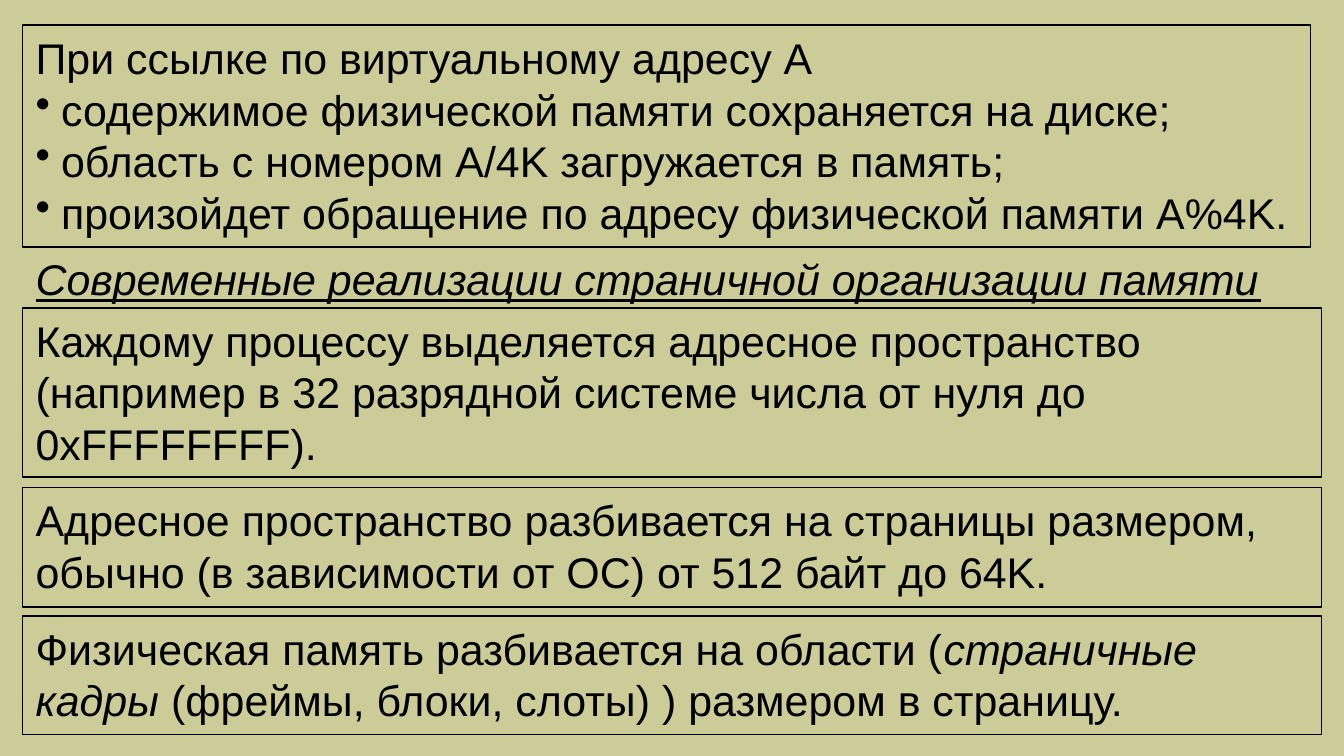
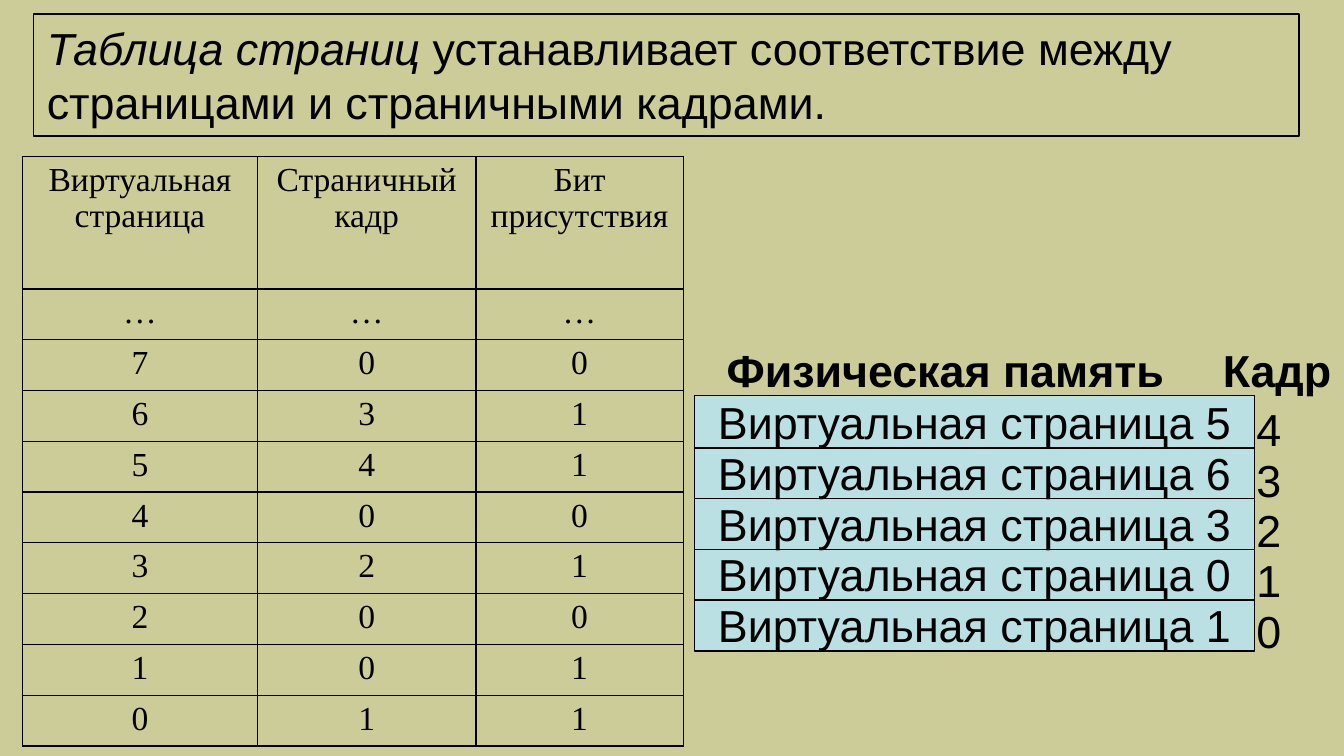
import pptx
import pptx.dml.color
import pptx.enum.shapes
import pptx.enum.text
import pptx.oxml
import pptx.oxml.ns
import pptx.util
from lxml import etree

COLOURS = {"ground": "CCCC99", "ink": "000000", "frame": "BBE0E3"}
ALIGN = pptx.enum.text.PP_ALIGN
ANCHOR = pptx.enum.text.MSO_ANCHOR


class Lecture:
    """Style and current slide, on a grid of 120 columns by 67.5 rows."""

    WIDTH, HEIGHT = pptx.util.Inches(10), pptx.util.Inches(5.625)
    COLUMNS, ROWS = 120, 67.5
    LINE = pptx.util.Pt(0.75)

    def __init__(self):
        self.deck = pptx.Presentation()
        self.deck.slide_width, self.deck.slide_height = self.WIDTH, self.HEIGHT
        ground = self.deck.slide_master.background.fill
        ground.solid()
        ground.fore_color.rgb = self.colour("ground")

    def colour(self, name):
        return pptx.dml.color.RGBColor.from_string(COLOURS[name])

    def across(self, columns):
        return round(self.WIDTH * columns / self.COLUMNS)

    def down(self, rows):
        return round(self.HEIGHT * rows / self.ROWS)

    def place(self, left, top, width, height):
        return self.across(left), self.down(top), self.across(width), self.down(height)

    def new_page(self):
        self.page = self.deck.slides.add_slide(self.deck.slide_layouts[6])

    def style(self, para, size, font="Arial", align=ALIGN.LEFT, bold=False,
              italic=None, underline=False):
        para.alignment = align
        para.font.size = pptx.util.Pt(size)
        para.font.name = font
        para.font.color.rgb = self.colour("ink")
        para.font.bold = bold
        para.font.italic = italic
        para.font.underline = underline

    def bullet(self, para):
        indent = pptx.util.Inches(0.19)
        properties = para._p.get_or_add_pPr()
        properties.set("marL", str(indent))
        properties.set("indent", str(-indent))
        mark = pptx.oxml.parse_xml(f'<a:buChar {pptx.oxml.ns.nsdecls("a")} char="•"/>')
        properties.insert(0, mark)

    def add_text(self, box, lines, size, anchor=ANCHOR.TOP, **looks):
        """Fill a box; a line is a string or a list of (text, italic) spans."""
        frame = box.text_frame
        frame.word_wrap = True
        frame.vertical_anchor = anchor
        for number, line in enumerate(lines):
            para = frame.paragraphs[0] if number == 0 else frame.add_paragraph()
            self.style(para, size, **looks)
            if isinstance(line, str):
                para.text = line
                continue
            for text, italic in line:
                span = para.add_run()
                span.text = text
                span.font.italic = italic

    def label(self, place, text, size=24, **looks):
        box = self.page.shapes.add_textbox(*self.place(*place))
        self.add_text(box, [text], size, **looks)

    def panel(self, place, lines, size=23, fill=None, **looks):
        kind = pptx.enum.shapes.MSO_SHAPE.RECTANGLE
        box = self.page.shapes.add_shape(kind, *self.place(*place))
        box.shadow.inherit = False
        box.line.color.rgb = self.colour("ink")
        box.line.width = self.LINE
        if fill:
            box.fill.solid()
            box.fill.fore_color.rgb = self.colour(fill)
        else:
            box.fill.background()
        self.add_text(box, lines, size, **looks)
        return box

    def border(self, cell):
        properties = cell._tc.get_or_add_tcPr()
        for number, side in enumerate(("lnL", "lnR", "lnT", "lnB")):
            edge = etree.Element(pptx.oxml.ns.qn(f"a:{side}"), w=str(self.LINE))
            fill = etree.SubElement(edge, pptx.oxml.ns.qn("a:solidFill"))
            etree.SubElement(fill, pptx.oxml.ns.qn("a:srgbClr"), val=COLOURS["ink"])
            properties.insert(number, edge)

    def table(self, left, top, widths, heights, rows):
        place = self.place(left, top, sum(widths), sum(heights))
        table = self.page.shapes.add_table(len(rows), len(widths), *place).table
        table.first_row = table.horz_banding = False
        for column, width in zip(table.columns, widths):
            column.width = self.across(width)
        for row, height, values in zip(table.rows, heights, rows):
            row.height = self.down(height)
            for cell, value in zip(row.cells, values):
                cell.text = value
                cell.fill.background()
                cell.margin_bottom = pptx.util.Inches(0.04)
                para = cell.text_frame.paragraphs[0]
                para.line_spacing = 0.95
                self.style(para, 18, "Times New Roman", ALIGN.CENTER)
                self.border(cell)


def build_paging(lecture):
    """Build the slide on paged memory."""
    lecture.new_page()
    steps = lecture.panel((2, 2.25, 115, 19.8), [
        "При ссылке по виртуальному адресу A",
        "содержимое физической памяти сохраняется на диске;",
        "область с номером A/4K загружается в память;",
        "произойдет обращение по адресу физической памяти A%4K."])
    for para in steps.text_frame.paragraphs[1:]:
        lecture.bullet(para)
    lecture.label((2, 22, 115, 5.9), "Современные реализации страничной организации памяти",
                  size=23, italic=True, underline=True)
    facts = [
        (27.5, 15.1, "Каждому процессу выделяется адресное пространство (например "
                     "в 32 разрядной системе числа от нуля до 0xFFFFFFFF)."),
        (43.5, 10.7, "Адресное пространство разбивается на страницы размером, "
                     "обычно (в зависимости от ОС) от 512 байт до 64K."),
        (55, 10.6, [("Физическая память разбивается на области (", False),
                    ("страничные кадры", True),
                    (" (фреймы, блоки, слоты) ) размером в страницу.", False)]),
    ]
    for top, height, fact in facts:
        lecture.panel((2, top, 116, height), [fact])


def build_page_table(lecture):
    """Build the slide on the page table and the frames it points to."""
    lecture.new_page()
    lecture.panel((3, 1.25, 113, 10.9), [[
        ("Таблица страниц", True),
        (" устанавливает соответствие между страницами и страничными кадрами.", False)]],
        size=24)
    entries = ["00", "31", "41", "00", "21", "00", "01", "11"]
    rows = [["Виртуальная страница", "Страничный кадр", "Бит присутствия"], ["…"] * 3]
    rows += [[str(7 - number), *entry] for number, entry in enumerate(entries)]
    lecture.table(2, 14, [21, 19.5, 18.5], [11.8] + [4.54] * 9, rows)

    top, pitch, loaded = 35.3, 4.53, [1, 0, 3, 6, 5]
    last = len(loaded) - 1
    for number, virtual in enumerate(loaded):
        lecture.panel((62, top + pitch * (last - number), 50, 4.7),
                      [f"Виртуальная страница {virtual}"], size=24, fill="frame",
                      anchor=ANCHOR.MIDDLE, align=ALIGN.CENTER)
    lecture.label((62, 30, 44.8, 6.1), "Физическая память", align=ALIGN.CENTER, bold=True)
    lecture.label((108, 30, 13, 6.1), "Кадр", bold=True)
    for number in range(len(loaded)):
        lecture.label((111, top + 4.5 * number, 5, 6.1), str(last - number))


lecture = Lecture()
build_paging(lecture)
build_page_table(lecture)
lecture.deck.save("out.pptx")
